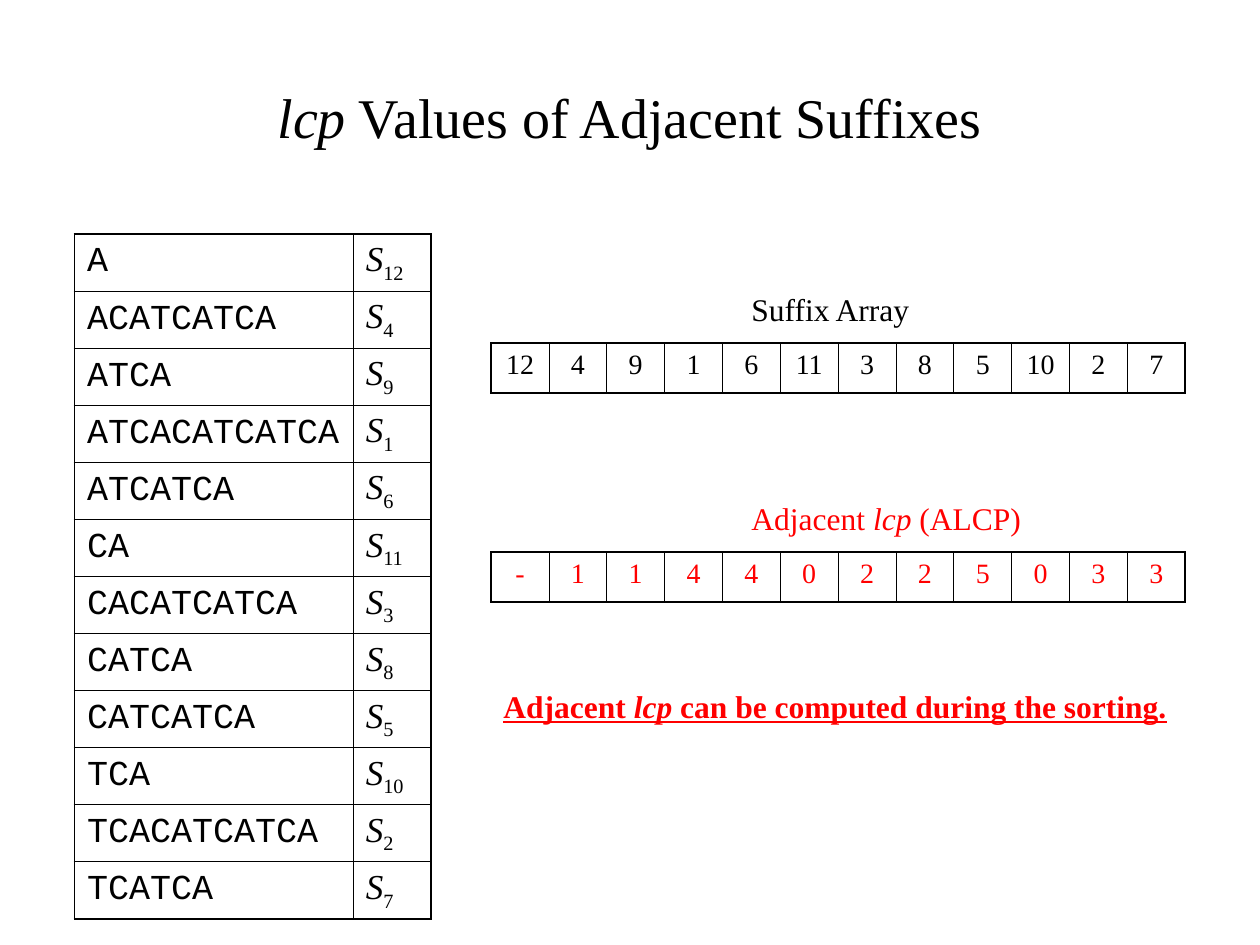
from lxml import etree
from pptx import Presentation
from pptx.dml.color import RGBColor
from pptx.enum.text import MSO_ANCHOR, PP_ALIGN
from pptx.oxml.ns import qn
from pptx.util import Cm, Pt

LEFT, CENTER = PP_ALIGN.LEFT, PP_ALIGN.CENTER
TOP, MIDDLE = MSO_ANCHOR.TOP, MSO_ANCHOR.MIDDLE
COLORS = {"ink": "000000", "accent": "FF0000"}
SERIF, MONO = "Times New Roman", "Courier New"
OUTER, INNER = Pt(1.08), Pt(0.45)

SORTED_SUFFIXES = [
    ("A", 12), ("ACATCATCA", 4), ("ATCA", 9), ("ATCACATCATCA", 1),
    ("ATCATCA", 6), ("CA", 11), ("CACATCATCA", 3), ("CATCA", 8),
    ("CATCATCA", 5), ("TCA", 10), ("TCACATCATCA", 2), ("TCATCA", 7),
]
ADJACENT_LCP = ["-", 1, 1, 4, 4, 0, 2, 2, 5, 0, 3, 3]


def write(frame, runs, size, color="ink", font=SERIF, align=LEFT,
          bold=None, underline=None):
    """Fill a frame with (text, style) runs; style is "", "italic" or "sub"."""
    paragraph = frame.paragraphs[0]
    paragraph.alignment = align
    paragraph.font.name = font
    paragraph.font.size = Pt(size)
    paragraph.font.bold = bold
    paragraph.font.underline = underline
    paragraph.font.color.rgb = RGBColor.from_string(COLORS[color])
    for text, style in runs:
        run = paragraph.add_run()
        run.text = text
        if style == "italic":
            run.font.italic = True
        elif style == "sub":
            run._r.get_or_add_rPr().set("baseline", "-25000")


def add_label(slide, box, runs, size, anchor=TOP, **style):
    frame = slide.shapes.add_textbox(*map(Cm, box)).text_frame
    frame.word_wrap = True
    frame.vertical_anchor = anchor
    write(frame, runs, size, **style)


def set_borders(cell, widths):
    """Draw left, right, top and bottom borders of the given widths."""
    properties = cell._tc.get_or_add_tcPr()
    for position, (side, width) in enumerate(zip("LRTB", widths)):
        line = etree.Element(qn(f"a:ln{side}"), w=str(int(width)))
        fill = etree.SubElement(line, qn("a:solidFill"))
        etree.SubElement(fill, qn("a:srgbClr"), val=COLORS["ink"])
        properties.insert(position, line)


def add_grid(slide, box, rows, column_widths, anchor):
    """Add an unfilled table with a heavier outer frame."""
    table = slide.shapes.add_table(rows, len(column_widths), *map(Cm, box)).table
    table.first_row = table.horz_banding = False
    for column, width in zip(table.columns, column_widths):
        column.width = Cm(width)
    last_row, last_column = rows - 1, len(column_widths) - 1
    for r in range(rows):
        for c in range(len(column_widths)):
            cell = table.cell(r, c)
            cell.fill.background()
            cell.vertical_anchor = anchor
            on_edge = (c == 0, c == last_column, r == 0, r == last_row)
            set_borders(cell, [OUTER if edge else INNER for edge in on_edge])
    return table


def add_suffix_table(slide, box):
    index_width = 1.57
    table = add_grid(slide, box, len(SORTED_SUFFIXES),
                     [box[2] - index_width, index_width], MIDDLE)
    for r, (suffix, start) in enumerate(SORTED_SUFFIXES):
        suffix_cell, index_cell = table.cell(r, 0), table.cell(r, 1)
        write(suffix_cell.text_frame, [(suffix, "")], 20, font=MONO)
        # Slim margins let the subscript fit the row height
        index_cell.margin_top = index_cell.margin_bottom = Cm(0.07)
        write(index_cell.text_frame, [("S", "italic"), (str(start), "sub")], 20)


def add_array(slide, box, caption, caption_width, values, color):
    """Caption above a one-row table of values."""
    left, top, width, height = box
    row_offset = 1.2
    add_label(slide, (left + 5, top, caption_width, 1.02), caption, 18, color=color)
    table = add_grid(slide, (left, top + row_offset, width, height - row_offset),
                     1, [width / len(values)] * len(values), TOP)
    for c, value in enumerate(values):
        write(table.cell(0, c).text_frame, [(str(value), "")], 16,
              color=color, align=CENTER)


def main():
    prs = Presentation()
    prs.slide_width, prs.slide_height = Cm(25.4), Cm(19.05)
    slide = prs.slides.add_slide(prs.slide_layouts[6])

    # Title
    add_label(slide, (1.27, 0.76, 22.86, 3.18),
              [("lcp", "italic"), (" Values of Adjacent Suffixes", "")],
              32, anchor=MIDDLE, align=CENTER)

    # Sorted suffixes
    add_suffix_table(slide, (1.5, 4.72, 7.19, 13.8))

    # Suffix array and adjacent lcp values
    add_array(slide, (9.9, 5.72, 14, 2.2), [("Suffix Array", "")], 3.81,
              [start for _, start in SORTED_SUFFIXES], "ink")
    add_array(slide, (9.9, 9.93, 14, 2.2),
              [("Adjacent ", ""), ("lcp ", "italic"), ("(ALCP)", "")], 6,
              ADJACENT_LCP, "accent")

    # Conclusion
    add_label(slide, (9.9, 13.72, 14.2, 1.02),
              [("Adjacent ", ""), ("lcp", "italic"),
               (" can be computed during the sorting.", "")],
              18, color="accent", bold=True, underline=True)

    prs.save("out.pptx")


if __name__ == "__main__":
    main()
